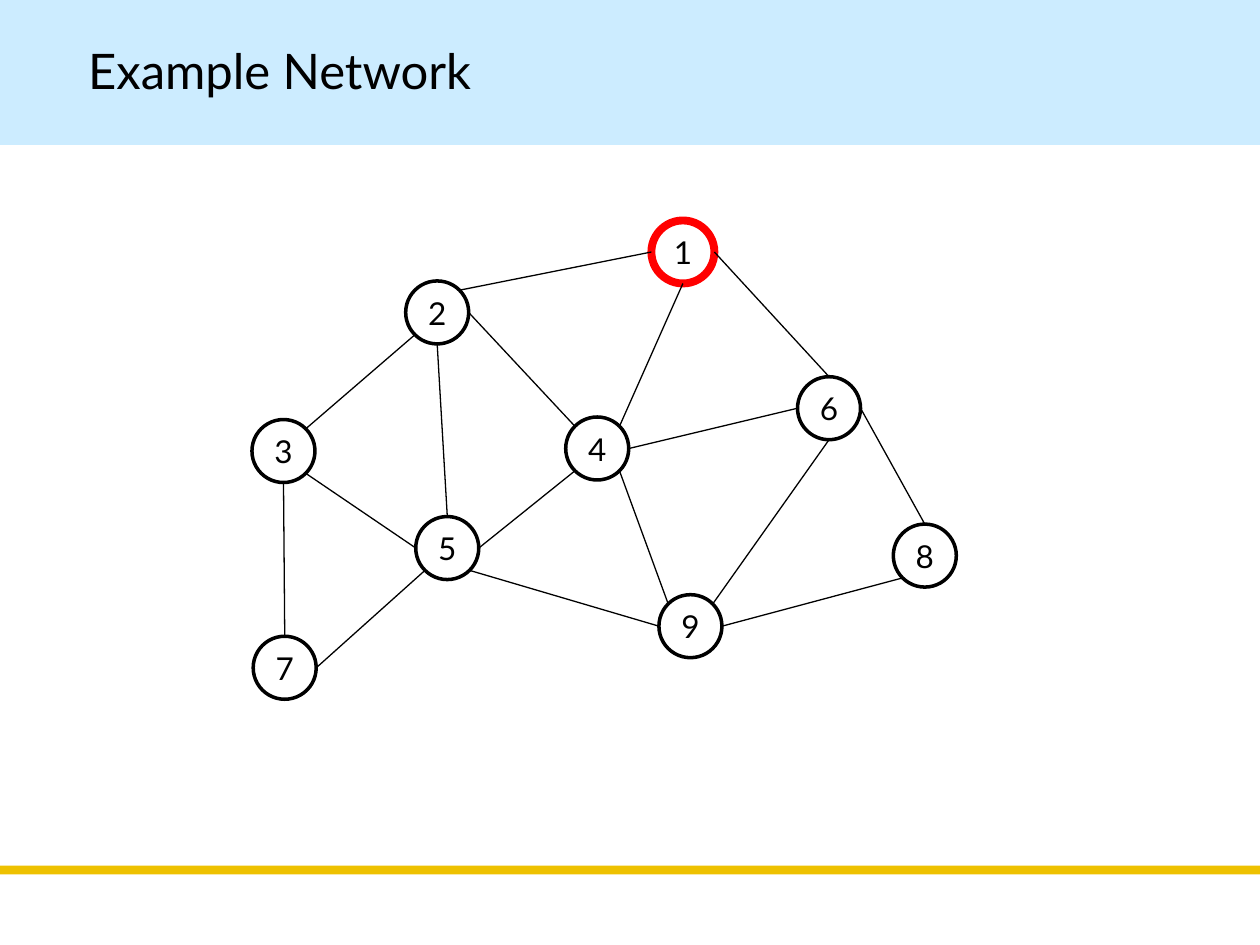
from dataclasses import dataclass
from math import cos, radians, sin

from lxml.etree import SubElement
from pptx import Presentation
from pptx.dml.color import RGBColor
from pptx.enum.shapes import MSO_CONNECTOR as Connector, MSO_SHAPE as Preset
from pptx.enum.text import MSO_ANCHOR as Anchor, MSO_AUTO_SIZE as AutoSize, PP_ALIGN as Align
from pptx.oxml.ns import qn
from pptx.util import Inches, Pt

WIDTH, HEIGHT = 10, 7.5
FONT = "Lato"
BLACK, WHITE, RED = "000000", "FFFFFF", "FF0000"
SKY, GOLD = "CCECFF", "EEC100"
DIAMETER = 0.5

# Compass points on a node's rim, in degrees clockwise from east
COMPASS = {"E": 0, "SE": 45, "S": 90, "SW": 135, "W": 180, "NW": 225, "N": 270, "NE": 315}


@dataclass(frozen=True)
class Node:
    label: str
    x: float  # centre
    y: float
    color: str = BLACK
    weight: float = 2

    def rim(self, side: str) -> tuple:
        angle = radians(COMPASS[side])
        radius = DIAMETER / 2
        return Inches(self.x + radius * cos(angle)), Inches(self.y + radius * sin(angle))


@dataclass(frozen=True)
class Link:
    start: str
    start_side: str
    end: str
    end_side: str


NODES = [
    Node("1", 5.42, 2, RED, 4.5),
    Node("4", 4.74, 3.56),
    Node("3", 2.25, 3.58),
    Node("7", 2.26, 5.3),
    Node("5", 3.55, 4.35),
    Node("6", 6.58, 3.24),
    Node("9", 5.48, 4.97),
    Node("8", 7.34, 4.41),
    Node("2", 3.47, 2.48),
]

LINKS = [
    Link("1", "W", "2", "NE"),
    Link("2", "SW", "3", "NE"),
    Link("3", "S", "7", "N"),
    Link("2", "S", "5", "N"),
    Link("3", "SE", "5", "W"),
    Link("2", "E", "4", "NW"),
    Link("1", "S", "4", "NE"),
    Link("1", "E", "6", "N"),
    Link("4", "E", "6", "W"),
    Link("5", "E", "4", "SW"),
    Link("4", "SE", "9", "NW"),
    Link("9", "NE", "6", "S"),
    Link("6", "E", "8", "N"),
    Link("9", "E", "8", "SW"),
    Link("9", "W", "5", "SE"),
    Link("7", "E", "5", "SW"),
]


def paint(target, color: str) -> None:
    """Give a fill a solid colour."""
    target.solid()
    target.fore_color.rgb = RGBColor.from_string(color)


def write(frame, text: str, size: float, align: Align) -> None:
    frame.vertical_anchor = Anchor.MIDDLE
    para = frame.paragraphs[0]
    para.alignment = align
    span = para.add_run()
    span.text = text
    span.font.name = FONT
    span.font.size = Pt(size)
    paint(span.font.fill, BLACK)


def draw_band(page, top: float, height: float, color: str) -> None:
    band = page.shapes.add_shape(Preset.RECTANGLE, 0, Inches(top), Inches(WIDTH), Inches(height))
    band.shadow.inherit = False
    paint(band.fill, color)
    band.line.fill.background()


def draw_title(page, text: str) -> None:
    title = page.shapes.title
    title.left, title.top = Inches(0.6), Inches(0.27)
    title.width, title.height = Inches(3.67), Inches(0.57)
    write(title.text_frame, text, 28, Align.LEFT)
    title.text_frame.word_wrap = False
    title.text_frame.auto_size = AutoSize.SHAPE_TO_FIT_TEXT
    # Bring the title in front of the bands
    title.element.getparent().append(title.element)


def draw_node(page, node: Node) -> None:
    size = Inches(DIAMETER)
    circle = page.shapes.add_shape(
        Preset.OVAL, Inches(node.x) - size // 2, Inches(node.y) - size // 2, size, size)
    circle.shadow.inherit = False
    paint(circle.fill, WHITE)
    paint(circle.line.fill, node.color)
    circle.line.width = Pt(node.weight)
    frame = circle.text_frame
    frame.margin_left = frame.margin_right = frame.margin_top = frame.margin_bottom = 0
    write(frame, node.label, 18, Align.CENTER)


def draw_link(page, link: Link, nodes: dict) -> None:
    line = page.shapes.add_connector(
        Connector.STRAIGHT,
        *nodes[link.start].rim(link.start_side),
        *nodes[link.end].rim(link.end_side))
    paint(line.line.fill, BLACK)
    line.line.width = Pt(0.75)
    SubElement(line.element.spPr, qn("a:effectLst"))


def main() -> None:
    deck = Presentation()
    deck.slide_width, deck.slide_height = Inches(WIDTH), Inches(HEIGHT)
    page = deck.slides.add_slide(deck.slide_layouts.get_by_name("Title Only"))

    # Header and footer bands, then the title
    draw_band(page, 0, 1.15, SKY)
    draw_band(page, 6.87, 0.07, GOLD)
    draw_title(page, "Example Network")

    # Network
    for node in NODES:
        draw_node(page, node)
    nodes = {node.label: node for node in NODES}
    for link in LINKS:
        draw_link(page, link, nodes)

    deck.save("out.pptx")


if __name__ == "__main__":
    main()
